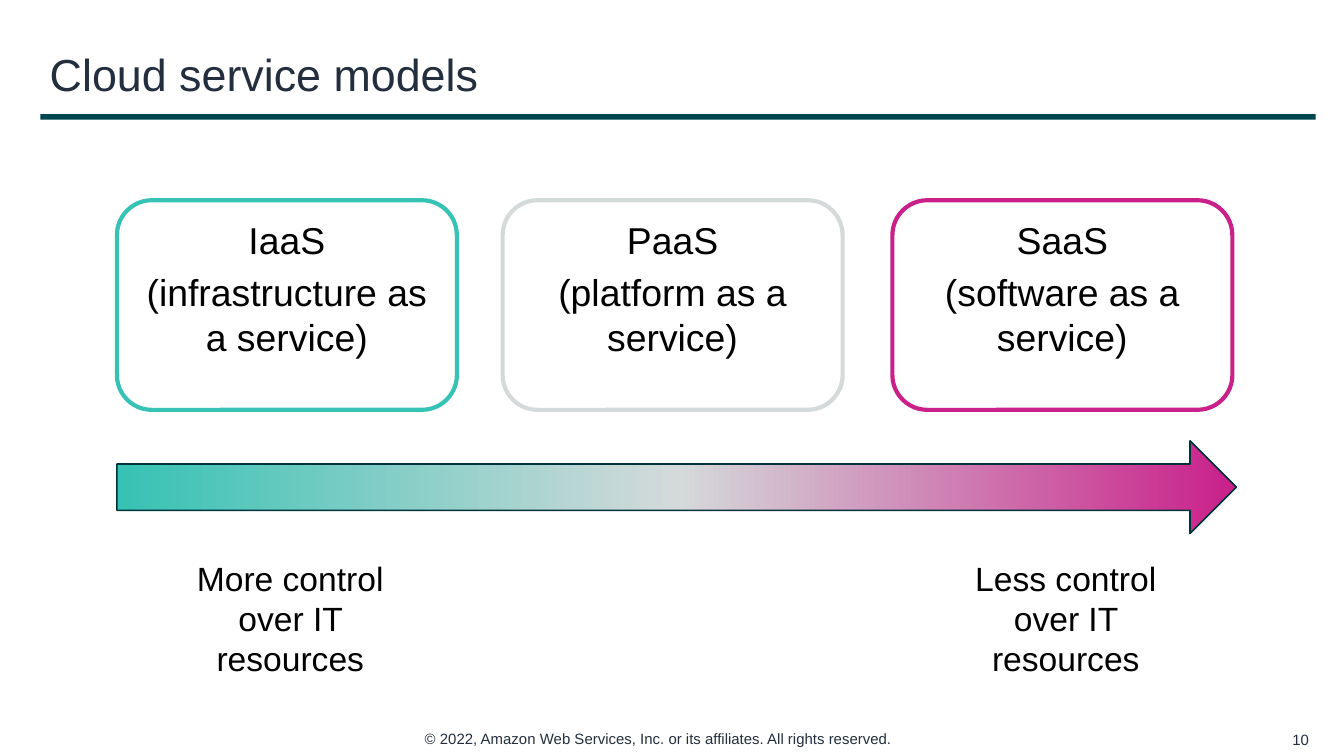
from copy import deepcopy

from pptx import Presentation
from pptx.dml.color import RGBColor
from pptx.enum.shapes import MSO_SHAPE as Shape
from pptx.enum.text import MSO_ANCHOR as Anchor, PP_ALIGN as Align
from pptx.oxml.ns import qn
from pptx.util import Inches, Pt

COLORS = {
    "title": "232F3E",
    "rule": "00464F",
    "text": "000000",
    "white": "FFFFFF",
    "outline": "003339",
    "iaas": "36C2B4",
    "paas": "D4DADA",
    "saas": "C9208A",
}
MODELS = [
    (0.87, "iaas", "IaaS\n(infrastructure as a service)"),
    (3.74, "paas", "PaaS\n(platform as a service)"),
    (6.64, "saas", "SaaS\n(software as a service)"),
]
COPYRIGHT = "© 2022, Amazon Web Services, Inc. or its affiliates. All rights reserved."


def color(name):
    return RGBColor.from_string(COLORS[name])


def write(shape, text, size, color_name="text", align=Align.LEFT, anchor=Anchor.TOP,
          margins=(0.07, 0.04), space_before=0):
    """Fill a shape with text; space_before applies from the second paragraph on."""
    frame = shape.text_frame
    frame.word_wrap = True
    frame.vertical_anchor = anchor
    frame.margin_left = frame.margin_right = Inches(margins[0])
    frame.margin_top = frame.margin_bottom = Inches(margins[1])
    frame.text = text
    for index, paragraph in enumerate(frame.paragraphs):
        paragraph.alignment = align
        paragraph.space_before = Pt(space_before if index else 0)
        for run in paragraph.runs:
            run.font.name = "Arial"
            run.font.size = Pt(size)
            run.font.color.rgb = color(color_name)


def add_shape(slide, kind, box, fill=None, line=None, line_width=0):
    shape = slide.shapes.add_shape(kind, *map(Inches, box))
    shape.shadow.inherit = False
    if fill:
        shape.fill.solid()
        shape.fill.fore_color.rgb = color(fill)
    if line:
        shape.line.color.rgb = color(line)
        shape.line.width = Pt(line_width)
    else:
        shape.line.fill.background()
    return shape


def add_text(slide, box, text, size, **options):
    write(slide.shapes.add_textbox(*map(Inches, box)), text, size, **options)


def add_header(slide, left, top, width, height):
    title = slide.shapes.title
    title.left, title.top = Inches(left), Inches(top)
    title.width, title.height = Inches(width), Inches(height)
    write(title, "Cloud service models", 24, "title", anchor=Anchor.MIDDLE)
    add_shape(slide, Shape.RECTANGLE, (left, top + height, width, 0.04), "rule")


def add_models(slide, top, width, height):
    for left, name, text in MODELS:
        card = add_shape(slide, Shape.ROUNDED_RECTANGLE, (left, top, width, height),
                         "white", name, 2.25)
        write(card, text, 20, align=Align.CENTER, margins=(0.1, 0.05), space_before=4)


def add_control_scale(slide, left, top, width, height):
    """Draw the gradient arrow with a caption below each end."""
    arrow = add_shape(slide, Shape.RIGHT_ARROW, (left, top, width, height),
                      line="outline", line_width=0.85)
    arrow.fill.gradient()
    arrow.fill.gradient_angle = 0
    stop_list = arrow.element.spPr.find(qn("a:gradFill")).find(qn("a:gsLst"))
    stop_list.insert(1, deepcopy(stop_list[0]))
    for stop, position, name in zip(arrow.fill.gradient_stops, (0, 0.5, 1),
                                    ("iaas", "paas", "saas")):
        stop.position = position
        stop.color.rgb = color(name)
    for offset, amount in ((0.25, "More"), (6.02, "Less")):
        add_text(slide, (left + offset, top + 0.83, 2.08, 0.68),
                 f"{amount} control\vover IT resources", 18,
                 align=Align.CENTER, margins=(0.08, 0.04))


def add_footer(slide, top):
    add_text(slide, (3.09, top, 3.82, 0.21), COPYRIGHT, 8, color_name="title")
    add_text(slide, (9.41, top, 0.4, 0.22), "10", 8, color_name="title",
             align=Align.RIGHT, anchor=Anchor.MIDDLE)


def main():
    presentation = Presentation()
    presentation.slide_width = Inches(10)
    presentation.slide_height = presentation.slide_width * 9 // 16
    slide = presentation.slides.add_slide(presentation.slide_layouts[5])
    add_header(slide, 0.3, 0.25, 9.49, 0.6)
    add_models(slide, 1.49, 2.53, 1.56)
    add_control_scale(slide, 0.87, 3.28, 8.33, 0.69)
    add_footer(slide, 5.39)
    presentation.save("out.pptx")


if __name__ == "__main__":
    main()
